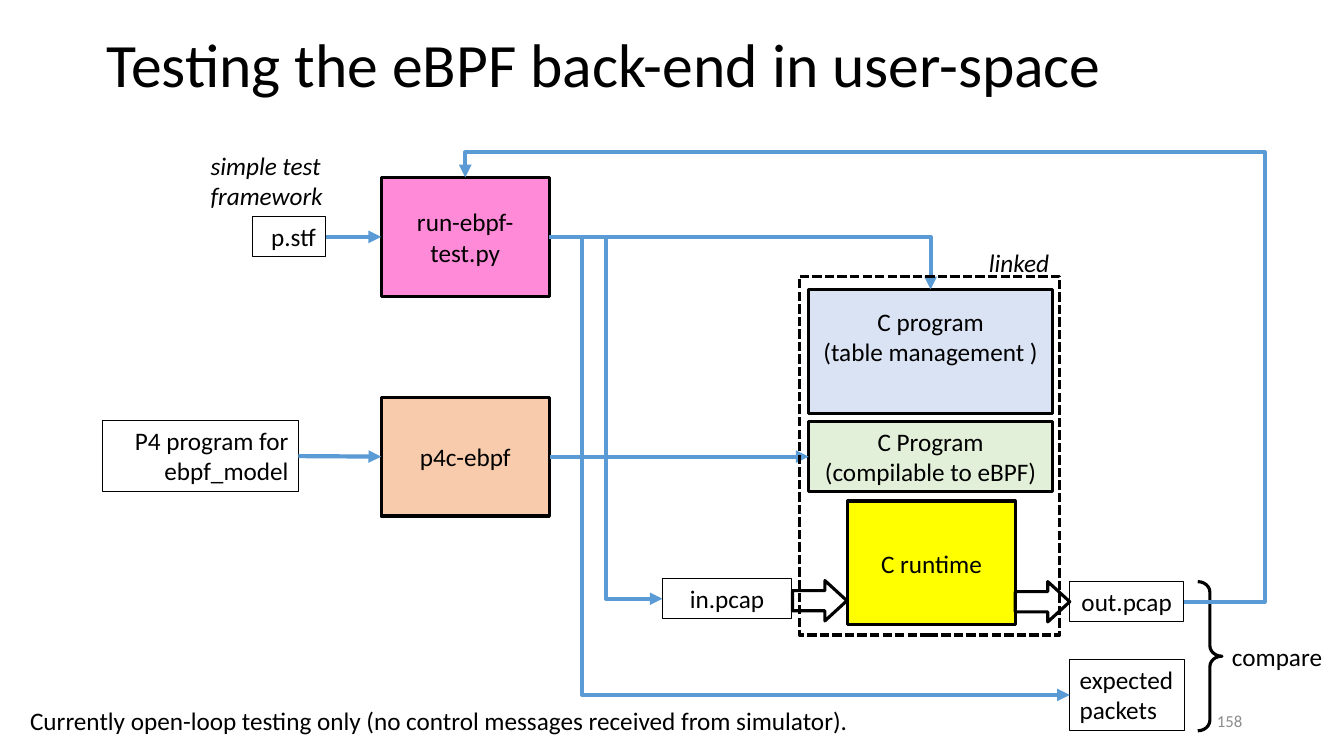
from lxml import etree
from pptx import Presentation
from pptx.dml.color import RGBColor
from pptx.enum.dml import MSO_LINE
from pptx.enum.shapes import MSO_CONNECTOR as CONN, MSO_SHAPE as SHAPE
from pptx.enum.text import MSO_ANCHOR as ANCHOR, MSO_AUTO_SIZE as AUTO, PP_ALIGN as ALIGN
from pptx.oxml.ns import qn
from pptx.util import Pt

PX = 9144  # 100 px to the inch
BLACK = RGBColor(0x00, 0x00, 0x00)
WHITE = RGBColor(0xFF, 0xFF, 0xFF)
GRAY = RGBColor(0x8C, 0x8C, 0x8C)
BLUE = RGBColor(0x5B, 0x9B, 0xD5)
PINK = RGBColor(0xFF, 0x8A, 0xD8)
PEACH = RGBColor(0xF8, 0xCB, 0xAD)
PALE_BLUE = RGBColor(0xDA, 0xE3, 0xF3)
PALE_GREEN = RGBColor(0xE2, 0xF0, 0xD9)
YELLOW = RGBColor(0xFF, 0xFF, 0x00)
TOP, LEFT, BOTTOM, RIGHT = range(4)


def emu(*lengths):
    return [round(n * PX) for n in lengths]


def write(tf, text, align=ALIGN.LEFT, size=18, color=BLACK, italic=False):
    """Fill a text frame; a newline in the text is a line break."""
    p = tf.paragraphs[0]
    p.alignment = align
    for i, line in enumerate(text.split("\n")):
        if i:
            p.add_line_break()
        r = p.add_run()
        r.text = line
        r.font.name = "Calibri"
        r.font.size = Pt(size)
        r.font.color.rgb = color
        r.font.italic = italic
    return p


def add_label(slide, x, y, w, h, text, wrap=False, anchor=ANCHOR.TOP, **style):
    tf = slide.shapes.add_textbox(*emu(x, y, w, h)).text_frame
    tf.word_wrap = wrap
    tf.vertical_anchor = anchor
    return write(tf, text, **style)


def add_outlined(slide, kind, x, y, w, h, fill=None, weight=2.25, adjust=()):
    sp = slide.shapes.add_shape(kind, *emu(x, y, w, h))
    sp.shadow.inherit = False
    if fill is None:
        sp.fill.background()
    else:
        sp.fill.solid()
        sp.fill.fore_color.rgb = fill
    sp.line.color.rgb = BLACK
    sp.line.width = Pt(weight)
    for i, value in enumerate(adjust):
        sp.adjustments[i] = value
    return sp


def add_stage(slide, x, y, w, h, text, fill):
    """Coloured processing step with centred text."""
    sp = add_outlined(slide, SHAPE.RECTANGLE, x, y, w, h, fill)
    sp.text_frame.word_wrap = True
    sp.text_frame.vertical_anchor = ANCHOR.MIDDLE
    write(sp.text_frame, text, ALIGN.CENTER)
    return sp


def add_file(slide, x, y, w, h, text, align=ALIGN.CENTER, wrap=True):
    """Thin-lined box for an input or output file."""
    sp = add_outlined(slide, SHAPE.RECTANGLE, x, y, w, h, weight=0.75)
    tf = sp.text_frame
    tf.word_wrap = wrap
    tf.auto_size = AUTO.SHAPE_TO_FIT_TEXT
    tf.vertical_anchor = ANCHOR.TOP
    write(tf, text, align)
    return sp


def add_block_arrow(slide, x, y):
    add_outlined(slide, SHAPE.RIGHT_ARROW, x, y, 54, 40, WHITE, adjust=(0.5, 0.545))


def side_middle(sp, side):
    x = sp.left + {LEFT: 0, RIGHT: sp.width}.get(side, sp.width // 2)
    y = sp.top + {TOP: 0, BOTTOM: sp.height}.get(side, sp.height // 2)
    return x, y


def style_arrow(c):
    c.line.color.rgb = BLUE
    c.line.width = Pt(3)
    etree.SubElement(c.line._get_or_add_ln(), qn("a:tailEnd"), type="triangle")
    etree.SubElement(c._element.spPr, qn("a:effectLst"))


def add_arrow(slide, source, target):
    ends = side_middle(source, RIGHT) + side_middle(target, LEFT)
    c = slide.shapes.add_connector(CONN.STRAIGHT, *ends)
    c.begin_connect(source, RIGHT)
    c.end_connect(target, LEFT)
    style_arrow(c)


def add_elbow(slide, source, target, side, preset, *adjust):
    """Bent arrow from the right of source; adjust holds its bends as fractions."""
    ends = side_middle(source, RIGHT) + side_middle(target, side)
    c = slide.shapes.add_connector(CONN.ELBOW, *ends)
    geom = c._element.spPr.find(qn("a:prstGeom"))
    geom.set("prst", preset)
    guides = geom.find(qn("a:avLst"))
    names = ["adj"] if preset == "bentConnector3" and False else [f"adj{i + 1}" for i in range(len(adjust))]
    for name, value in zip(names, adjust):
        etree.SubElement(guides, qn("a:gd"), name=name, fmla=f"val {round(value * 100000)}")
    style_arrow(c)


def add_framework(slide, x, y):
    add_label(slide, x, y, 132, 71, "simple test\nframework", italic=True)
    stf = add_file(slide, x + 51, y + 71, 73, 40, "p.stf", ALIGN.RIGHT)
    runner = add_stage(slide, x + 179, y + 32, 167, 118, "run-ebpf-test.py", PINK)
    add_arrow(slide, stf, runner)
    return runner


def add_compiler(slide, x, y):
    source = add_file(slide, x, y + 23, 194, 71, "P4 program for ebpf_model", ALIGN.RIGHT)
    compiler = add_stage(slide, x + 276, y, 167, 118, "p4c-ebpf", PEACH)
    add_arrow(slide, source, compiler)
    return compiler


def add_programs(slide, x, y):
    table = add_stage(slide, x + 9, y + 13, 242, 123, "C program\n(table management )", PALE_BLUE)
    table.text_frame.margin_bottom = emu(35)[0]
    ebpf = add_stage(slide, x + 9, y + 144, 242, 70, "C Program\n(compilable to eBPF)", PALE_GREEN)
    add_stage(slide, x + 48, y + 223, 166, 123, "C runtime", YELLOW)
    return table, ebpf


def add_link_frame(slide, x, y):
    frame = add_outlined(slide, SHAPE.RECTANGLE, x, y, 258, 356)
    frame.line.dash_style = MSO_LINE.SQUARE_DOT
    add_label(slide, x + 178, y - 34, 82, 40, "linked", italic=True)


def add_packets(slide, x, y):
    packets_in = add_file(slide, x, y, 128, 40, "in.pcap")
    add_block_arrow(slide, x + 129, y + 2)
    add_block_arrow(slide, x + 350, y + 3)
    packets_out = add_file(slide, x + 404, y + 3, 113, 40, "out.pcap")
    expected = add_file(slide, x + 404, y + 80, 114, 71, "expected\npackets", ALIGN.LEFT, wrap=False)
    add_outlined(slide, SHAPE.RIGHT_BRACE, x + 531, y + 3, 24, 148, adjust=(0.434, 0.5))
    add_label(slide, x + 555, y + 57, 111, 40, "compare")
    return packets_in, packets_out, expected


def add_test_slide(prs):
    slide = prs.slides.add_slide(prs.slide_layouts[6])
    title = add_label(slide, 96, 20, 1150, 94, "Testing the eBPF back-end in user-space",
                      wrap=True, anchor=ANCHOR.MIDDLE, size=44)
    title.line_spacing = 0.9
    runner = add_framework(slide, 199, 144)
    compiler = add_compiler(slide, 102, 394)
    table, ebpf = add_programs(slide, 793, 274)
    packets_in, packets_out, expected = add_packets(slide, 657, 574)

    add_arrow(slide, compiler, ebpf)
    add_elbow(slide, runner, table, TOP, "bentConnector2")
    add_elbow(slide, runner, packets_in, LEFT, "bentConnector3", 0.5)
    add_elbow(slide, runner, expected, LEFT, "bentConnector3", 0.063)
    add_elbow(slide, packets_out, runner, TOP, "bentConnector4", -0.113, 1.059)
    add_link_frame(slide, 793, 274)

    add_label(slide, 20, 695, 841, 40,
              "Currently open-loop testing only (no control messages received from simulator).")
    add_label(slide, 942, 695, 300, 40, "158", wrap=True, anchor=ANCHOR.MIDDLE,
              align=ALIGN.RIGHT, size=12, color=GRAY)


def main():
    prs = Presentation()
    prs.slide_width, prs.slide_height = emu(1333, 750)
    add_test_slide(prs)
    prs.save("out.pptx")


if __name__ == "__main__":
    main()
